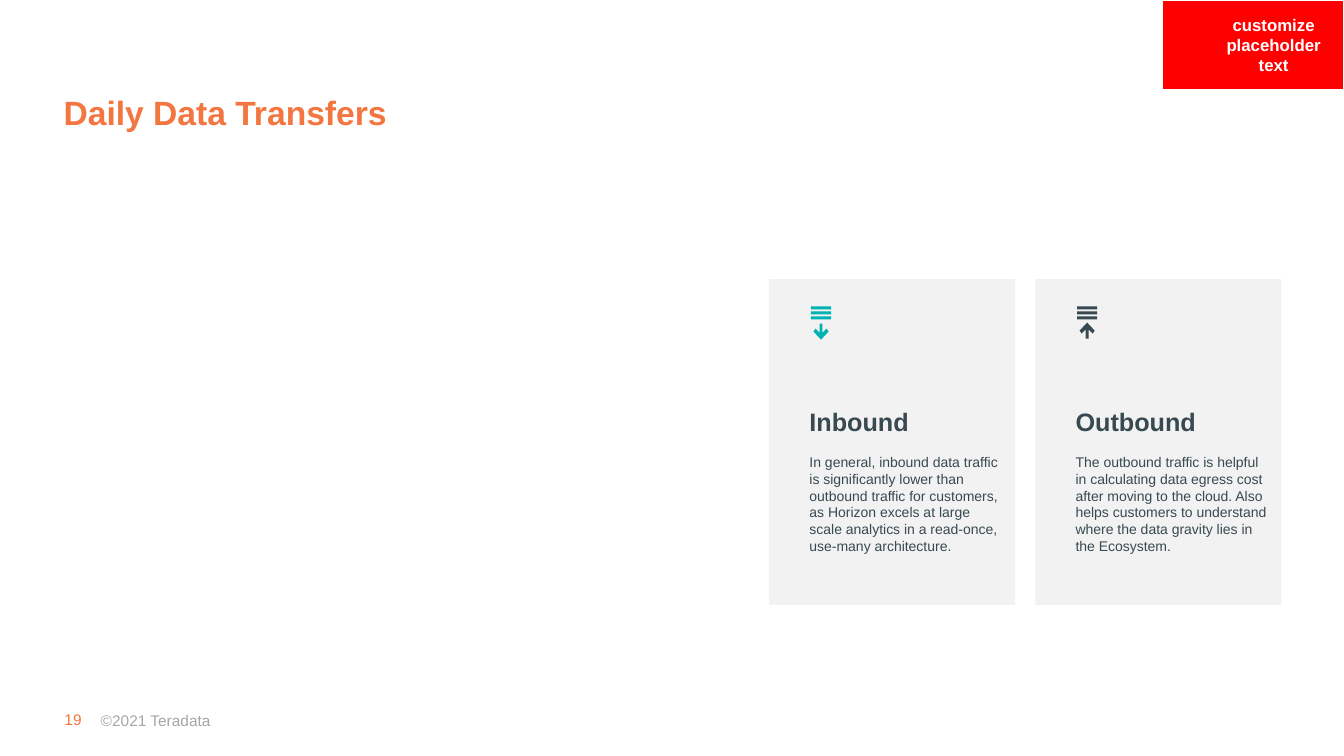
from pptx import Presentation
from pptx import util as u
from pptx.dml.color import RGBColor
from pptx.enum import shapes, text

ORANGE = RGBColor(0xF3, 0x75, 0x3F)
SLATE = RGBColor(0x38, 0x49, 0x51)
TEAL = RGBColor(0x00, 0xB2, 0xB1)
GREY = RGBColor(0xA6, 0xA6, 0xA6)
PALE = RGBColor(0xF2, 0xF2, 0xF2)
RED = RGBColor(0xFF, 0x00, 0x00)
WHITE = RGBColor(0xFF, 0xFF, 0xFF)

CARDS = [
    ("Inbound", "In general, inbound data traffic is significantly lower than "
     "outbound traffic for customers, as Horizon excels at large scale "
     "analytics in a read-once, use-many architecture.", TEAL, 1),
    ("Outbound", "The outbound traffic is helpful in calculating data egress "
     "cost after moving to the cloud. Also helps customers to understand "
     "where the data gravity lies in the Ecosystem.", SLATE, -1),
]
ARROW = [(0.11, 0.2), (0.11, -1), (-0.11, -1), (-0.11, 0.2), (-0.41, -0.33),
         (-0.56, 0.07), (0, 1.13), (0.56, 0.07), (0.41, -0.33)]


class Deck:
    """Draws styled elements, with lengths in percent of the slide's size."""

    def __init__(self, font):
        self.prs = Presentation()
        self.prs.slide_width = u.Inches(13.33)
        self.prs.slide_height = u.Inches(7.5)
        self.font = font
        self.slide = self.prs.slides.add_slide(self.prs.slide_layouts[5])

    def x(self, share):
        return round(self.prs.slide_width * share / 100)

    def y(self, share):
        return round(self.prs.slide_height * share / 100)

    def area(self, left, top, width, height):
        return self.x(left), self.y(top), self.x(width), self.y(height)

    def group(self):
        return self.slide.shapes.add_group_shape().shapes

    def paint(self, shape, fill, line=None):
        shape.shadow.inherit = False
        shape.fill.solid()
        shape.fill.fore_color.rgb = fill
        if line is None:
            shape.line.fill.background()
        else:
            shape.line.color.rgb = line
            shape.line.width = u.Pt(0.75)
        return shape

    def rect(self, area, fill, line=None, home=None):
        home = home or self.slide.shapes
        kind = shapes.MSO_SHAPE.RECTANGLE
        return self.paint(home.add_shape(kind, *self.area(*area)), fill, line)

    def put(self, shape, lines, color, anchor=text.MSO_ANCHOR.TOP,
            inset=(0, 0, 0, 0), wrap=True, **form):
        frame = shape.text_frame
        left, top, right, low = inset
        style = {"margin_left": self.x(left), "margin_top": self.y(top),
                 "margin_right": self.x(right), "margin_bottom": self.y(low),
                 "word_wrap": wrap, "auto_size": text.MSO_AUTO_SIZE.NONE,
                 "vertical_anchor": anchor}
        for name, value in style.items():
            setattr(frame, name, value)
        form = {"alignment": text.PP_ALIGN.LEFT, **form}
        for i, (words, size, bold) in enumerate(lines):
            para = frame.add_paragraph() if i else frame.paragraphs[0]
            para.text = words
            for name, value in form.items():
                if i or name != "space_before":
                    setattr(para, name, value)
            look = {"name": self.font, "size": u.Pt(size), "bold": bold}
            for name, value in look.items():
                setattr(para.font, name, value)
            para.font.color.rgb = color

    def title(self, area, words):
        shape = self.slide.shapes.title
        spots = ("left", "top", "width", "height")
        for name, value in zip(spots, self.area(*area)):
            setattr(shape, name, value)
        self.put(shape, [(words, 24, True)], ORANGE, text.MSO_ANCHOR.BOTTOM,
                 line_spacing=0.9)

    def label(self, area, lines, color, home=None, **form):
        home = home or self.slide.shapes
        self.put(home.add_textbox(*self.area(*area)), lines, color, **form)

    def tag(self, area, box, words):
        home = self.group()
        self.rect(area, RED, WHITE, home)
        self.label(box, [(word, 12, True) for word in words], WHITE, home,
                   anchor=text.MSO_ANCHOR.MIDDLE,
                   inset=(0.75, 0.67, 0.75, 0.67),
                   alignment=text.PP_ALIGN.CENTER)

    def icon(self, mid, color, way):
        home = self.group()
        spots = [(self.x(mid + dx), self.y(43.8 + way * dy))
                 for dx, dy in ARROW]
        pen = home.build_freeform(*spots[0], scale=1.0)
        pen.add_line_segments(spots[1:], close=True)
        self.paint(pen.convert_to_shape(), color)
        for i in range(3):
            self.rect((mid - 0.75, 40.53 + 0.67 * i, 1.5, 0.4), color,
                      home=home)

    def card(self, left, head, body, color, way):
        shape = self.rect((left, 36.93, 18.3, 43.07), PALE)
        self.put(shape, [(head, 18, True), (body, 10, False)], SLATE,
                 text.MSO_ANCHOR.BOTTOM, (3, 0, 0.75, 6.67),
                 space_before=u.Pt(6), space_after=u.Pt(6))
        self.icon(left + 3.86, color, way)


def main():
    deck = Deck("Arial")
    deck.title((4.73, 5.73, 90.53, 11.87), "Daily Data Transfers")
    deck.label((4.8, 94, 1.43, 2.53), [("19", 11, False)], ORANGE, wrap=False)
    deck.label((7.5, 93.33, 14.33, 3.87), [("©2021 Teradata", 11, False)],
               GREY, anchor=text.MSO_ANCHOR.MIDDLE)
    for i, card in enumerate(CARDS):
        deck.card(57.23 + 19.8 * i, *card)
    deck.tag((86.5, 0, 13.5, 11.87), (90.08, 1.2, 9.38, 9.47),
             ("customize", "placeholder", "text"))
    deck.prs.save("out.pptx")


if __name__ == "__main__":
    main()
